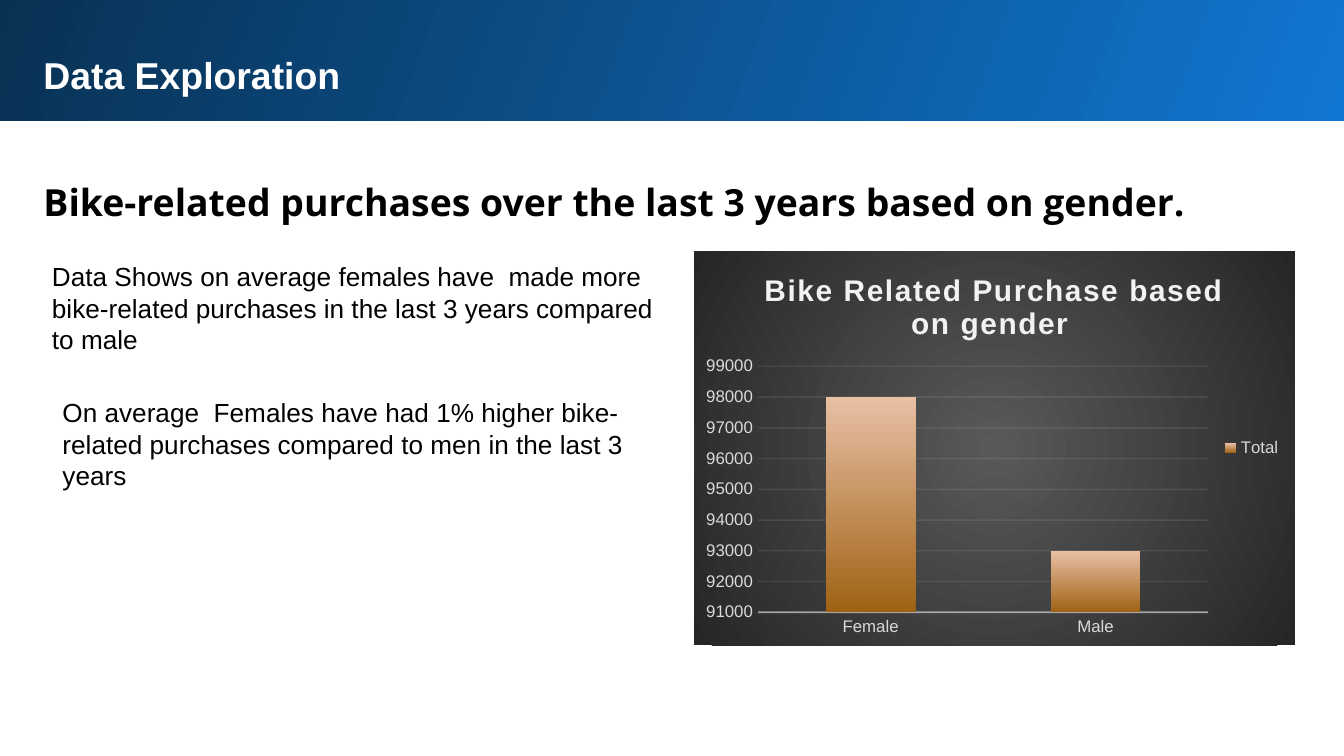
import dataclasses
import lxml.etree
import pptx
import pptx.chart.data
import pptx.dml.color
import pptx.enum.chart
import pptx.enum.shapes
import pptx.enum.text
import pptx.oxml
import pptx.oxml.ns
import pptx.util

COLS, ROWS = 100, 56.25
CELL = pptx.util.Inches(0.1)


@dataclasses.dataclass(frozen=True)
class Theme:
    sans: str = "Arial"
    display: str = "Open Sans"
    white: str = "FFFFFF"
    black: str = "000000"
    blue: str = "1077D2"
    navy: str = "093153"
    pale: str = "F2F2F2"
    label: str = "D9D9D9"
    grey: str = "595959"
    charcoal: str = "262626"
    bronze: str = "9F6214"
    peach: str = "E9C0A5"
    heading: int = 20
    body: int = 14
    chart_title: int = 16
    chart_label: int = 9


THEME = Theme()


def rgb(value):
    return pptx.dml.color.RGBColor.from_string(value)


def place(box, left, top, width, height):
    x, y = box[:2]
    return [round(n * CELL) for n in (x + left, y + top, width, height)]


def set_font(font, size, color, name=THEME.sans, bold=False):
    font.size, font.name, font.bold = pptx.util.Pt(size), name, bold
    font.color.rgb = rgb(color)


def set_gradient(fill, start, end, angle):
    fill.gradient()
    fill.gradient_angle = angle
    for stop, color in zip(fill.gradient_stops, (start, end)):
        stop.color.rgb = rgb(color)


def add_text(slide, area, text, size, color, name=THEME.sans, bold=False, inset=0.05, spacing=None):
    tf = slide.shapes.add_textbox(*area).text_frame
    tf.word_wrap = True
    tf.auto_size = pptx.enum.text.MSO_AUTO_SIZE.SHAPE_TO_FIT_TEXT
    tf.margin_top = tf.margin_bottom = pptx.util.Inches(inset)
    p = tf.paragraphs[0]
    p.line_spacing = spacing
    r = p.add_run()
    r.text = text
    set_font(r.font, size, color, name, bold)


def add_header(slide, box, title):
    width, height = box[2:]
    s = slide.shapes.add_shape(pptx.enum.shapes.MSO_SHAPE.RECTANGLE, *place(box, 0, 0, width, height))
    s.shadow.inherit = False
    s.line.fill.background()
    set_gradient(s.fill, THEME.blue, THEME.navy, 160)
    add_text(slide, place(box, 2.45, 3.1, 93.7, 5.4), title, THEME.heading, THEME.white, bold=True, inset=0.1)


def add_findings(slide, box, headline, findings):
    add_text(slide, place(box, 0, 0, box[2], 5.6), headline, THEME.heading, THEME.black,
             THEME.display, True, 0.1, 1.15)
    for i, finding in enumerate(findings):
        area = place(box, 0.63 + 0.78 * i, 7.1 + 10.13 * i, 47.1, 8.1)
        add_text(slide, area, finding, THEME.body, THEME.black)


def fill_chart_area(chart):
    ns = " ".join(pptx.oxml.ns.nsdecls(prefix) for prefix in ("c", "a"))
    sppr = pptx.oxml.parse_xml(
        f'<c:spPr {ns}><a:gradFill><a:gsLst>'
        f'<a:gs pos="0"><a:srgbClr val="{THEME.grey}"/></a:gs>'
        f'<a:gs pos="100000"><a:srgbClr val="{THEME.charcoal}"/></a:gs></a:gsLst>'
        '<a:path path="circle"><a:fillToRect l="50000" t="50000" r="50000" b="50000"/></a:path>'
        '</a:gradFill><a:ln><a:noFill/></a:ln></c:spPr>')
    chart.element.find(pptx.oxml.ns.qn("c:chart")).addnext(sppr)


def style_line(line, owner, width, opacity):
    line.width = pptx.util.Pt(width)
    line.color.rgb = rgb(THEME.pale)
    color = owner.xpath("./c:spPr/a:ln//a:srgbClr")[0]
    alpha = lxml.etree.SubElement(color, pptx.oxml.ns.qn("a:alpha"))
    alpha.set("val", str(opacity * 1000))


def add_gender_chart(slide, box, title, values):
    data = pptx.chart.data.CategoryChartData(number_format="General")
    data.categories = list(values)
    data.add_series("Total", list(values.values()))
    chart = slide.shapes.add_chart(pptx.enum.chart.XL_CHART_TYPE.COLUMN_STACKED,
                                   *place(box, 0, 0, *box[2:]), data).chart
    set_font(chart.font, THEME.chart_label, THEME.label)
    fill_chart_area(chart)

    chart.has_title = True
    p = chart.chart_title.text_frame.paragraphs[0]
    r = p.add_run()
    r.text = title
    set_font(r.font, THEME.chart_title, THEME.pale, bold=True)
    r.font._element.set("spc", "100")
    chart.chart_title.include_in_layout = False

    chart.has_legend = True
    chart.legend.position = pptx.enum.chart.XL_LEGEND_POSITION.RIGHT
    chart.legend.include_in_layout = False
    set_font(chart.legend.font, THEME.chart_label, THEME.label)

    for axis in (chart.category_axis, chart.value_axis):
        axis.major_tick_mark = axis.minor_tick_mark = pptx.enum.chart.XL_TICK_MARK.NONE
        set_font(axis.tick_labels.font, THEME.chart_label, THEME.label)
    style_line(chart.category_axis.format.line, chart.element.xpath(".//c:catAx")[0], 1, 54)
    axis = chart.value_axis
    axis.minimum_scale, axis.maximum_scale, axis.major_unit = 91000, 99000, 1000
    axis.format.line.fill.background()
    axis.has_major_gridlines = True
    style_line(axis.major_gridlines.format.line, chart.element.xpath(".//c:majorGridlines")[0], 0.75, 10)

    plot = chart.plots[0]
    plot.gap_width, plot.overlap, plot.vary_by_categories = 150, 100, False
    set_gradient(plot.series[0].format.fill, THEME.bronze, THEME.peach, 90)


def main():
    prs = pptx.Presentation()
    prs.slide_width, prs.slide_height = round(COLS * CELL), round(ROWS * CELL)
    slide = prs.slides.add_slide(prs.slide_layouts[6])
    add_header(slide, (-0.2, -0.2, COLS + 0.5, 9.2), "Data Exploration")
    add_findings(slide, (2.25, 11.8, 93.7, 25.3),
                 "Bike-related purchases over the last 3 years based on gender.",
                 ["Data Shows on average females have  made more bike-related purchases "
                  "in the last 3 years compared to male",
                  "On average  Females have had 1% higher bike-related purchases "
                  "compared to men in the last 3 years"])
    add_gender_chart(slide, (51.65, 18.7, 44.7, 29.3), "Bike Related Purchase based on gender ",
                     {"Female": 98000, "Male": 93000})
    prs.save("out.pptx")


if __name__ == "__main__":
    main()
